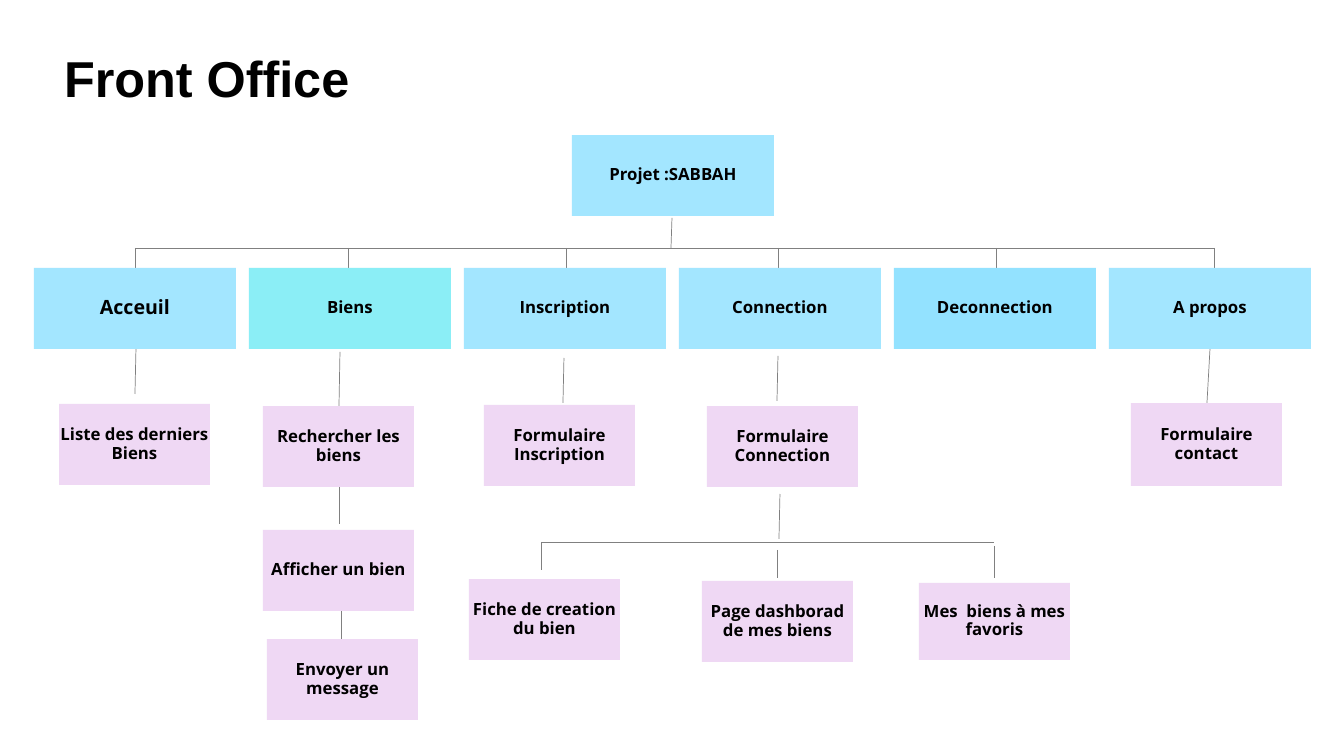
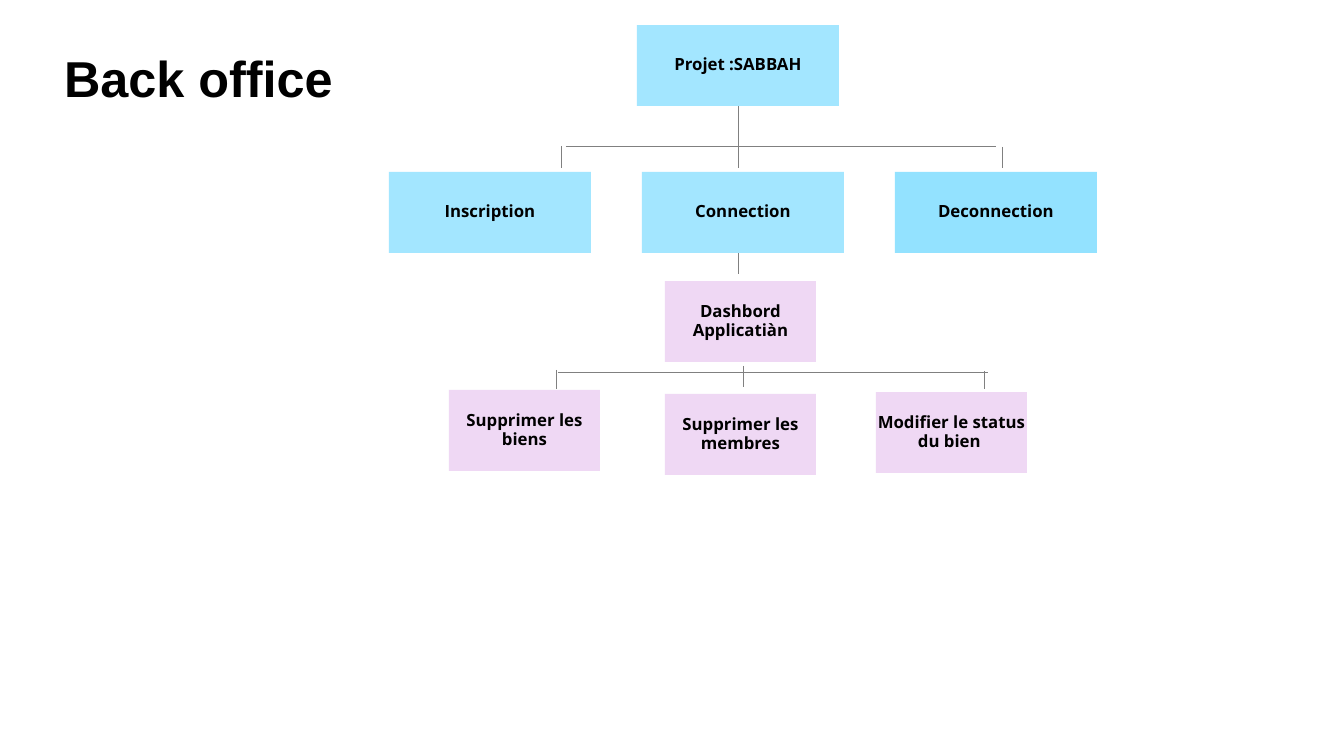
from lxml import etree
from pptx import Presentation
from pptx import util as u
from pptx.dml.color import RGBColor
from pptx.enum import shapes, text
from pptx.oxml.ns import qn

PX = 914400 / 100.8  # EMU in one pixel
BLACK, GREY = "000000", "808080"
SKY, AQUA, AZURE, LILAC = "A3E6FF", "8BEEF6", "93E2FF", "EFD8F4"
PAGE_SIZE, LEAF_SIZE = (202, 81), (151, 81)
PROJECT = "Projet :SABBAH"


def px(n):
    """Turn pixels into EMU."""
    return u.Emu(round(n * PX))


def rgb(code):
    """Turn a hex string into a colour."""
    return RGBColor.from_string(code)


def apply(obj, values):
    """Set each attribute named in a dict."""
    for name, value in values.items():
        setattr(obj, name, value)


def write(sp, content, size, font, align, inset):
    """Put one bold, vertically centred paragraph into a shape."""
    tf = sp.text_frame
    apply(tf, {"word_wrap": True, "auto_size": text.MSO_AUTO_SIZE.NONE,
               "vertical_anchor": text.MSO_ANCHOR.MIDDLE,
               "margin_left": px(inset), "margin_right": px(inset),
               "margin_top": px(4), "margin_bottom": px(4)})
    p = tf.paragraphs[0]
    apply(p, {"alignment": align, "line_spacing": 0.9})
    r = p.add_run()
    r.text = content
    apply(r.font, {"size": u.Pt(size), "name": font, "bold": True})
    r.font.color.rgb = rgb(BLACK)


def add_slide(prs, title):
    """Add a slide with its title at the top left."""
    slide = prs.slides.add_slide(prs.slide_layouts[5])
    sp = slide.shapes.title
    apply(sp, {"left": px(54), "top": px(34), "width": px(511), "height": px(94)})
    write(sp, title, 36, "Arial", text.PP_ALIGN.LEFT, 10)
    return slide


def box(slide, label, left, top, fill, size, font_size=12):
    """Draw one labelled box of the site map."""
    sp = slide.shapes.add_shape(shapes.MSO_SHAPE.RECTANGLE,
                                *map(px, (left, top, *size)))
    sp.shadow.inherit = False
    sp.fill.solid()
    sp.fill.fore_color.rgb = rgb(fill)
    sp.line.fill.background()
    write(sp, label, font_size, "Open Sans", text.PP_ALIGN.CENTER, 1)


def page_row(slide, pages, left, top, step):
    """Draw evenly spaced main pages, given as label, fill and font size."""
    for i, (label, fill, font_size) in enumerate(pages):
        box(slide, label, left + i * step, top, fill, PAGE_SIZE, font_size)


def leaves(slide, items):
    """Draw sub-pages, given as label, left, top and an optional height."""
    for label, left, top, *height in items:
        size = (LEAF_SIZE[0], *height) if height else LEAF_SIZE
        box(slide, label, left, top, LILAC, size)


def line(slide, x1, y1, x2, y2):
    """Draw a thin grey link."""
    sp = slide.shapes.add_connector(shapes.MSO_CONNECTOR.STRAIGHT,
                                    *map(px, (x1, y1, x2, y2)))
    sp.line.color.rgb = rgb(GREY)
    sp.line.width = u.Pt(0.5)
    etree.SubElement(sp._element.spPr, qn("a:effectLst"))


def drops(slide, links):
    """Draw vertical links, given as x, top and bottom."""
    for x, top, bottom in links:
        line(slide, x, top, x, bottom)


def front_office(prs):
    """Build the site map that visitors use."""
    slide = add_slide(prs, "Front Office")
    trunk = 248
    line(slide, 135, trunk, 1214, trunk)
    drops(slide, [(x, trunk, 268) for x in (135, 348, 566, 778, 996, 1214)])
    stems = [(671, trunk, 672, 218), (135, 394, 136, 349), (339, 406, 340, 352),
             (563, 403, 564, 358), (777, 401, 778, 356), (1207, 403, 1210, 349),
             (779, 539, 780, 494)]
    for stem in stems:
        line(slide, *stem)
    line(slide, 542, 542, 994, 542)
    drops(slide, [(541, 542, 570), (777, 550, 578), (994, 546, 578),
                  (339, 487, 524), (341, 611, 639)])
    box(slide, PROJECT, 572, 135, SKY, PAGE_SIZE)
    page_row(slide, [("Acceuil", SKY, 14), ("Biens", AQUA, 12),
                     ("Inscription", SKY, 12), ("Connection", SKY, 12),
                     ("Deconnection", AZURE, 12), ("A propos", SKY, 12)],
             34, 268, 215)
    leaves(slide, [("Liste des derniers Biens", 59, 404),
                   ("Rechercher les biens", 263, 406),
                   ("Formulaire Inscription", 484, 405),
                   ("Formulaire Connection", 707, 406),
                   ("Formulaire contact", 1131, 403, 83),
                   ("Afficher un bien", 263, 530),
                   ("Envoyer un message", 267, 639),
                   ("Fiche de creation du bien", 469, 579),
                   ("Page dashborad de mes biens", 702, 581),
                   ("Mes  biens à mes favoris", 919, 583, 77)])


def back_office(prs):
    """Build the site map that administrators use."""
    slide = add_slide(prs, "Back office")
    line(slide, 566, 146, 996, 146)
    line(slide, 558, 372, 988, 372)
    drops(slide, [(738, 106, 146), (561, 146, 168), (738, 146, 168),
                  (1002, 147, 168), (738, 253, 274), (743, 366, 387),
                  (556, 370, 389), (984, 371, 389)])
    box(slide, PROJECT, 637, 25, SKY, PAGE_SIZE)
    page_row(slide, [("Inscription", SKY, 12), ("Connection", SKY, 12),
                     ("Deconnection", AZURE, 12)], 389, 172, 253)
    leaves(slide, [("Dashbord Applicatiàn", 665, 281),
                   ("Supprimer les biens", 449, 390),
                   ("Supprimer les membres", 665, 394),
                   ("Modifier le status du bien ", 876, 392)])


def main():
    """Build and save the presentation."""
    prs = Presentation()
    apply(prs, {"slide_width": px(1344), "slide_height": px(756)})
    front_office(prs)
    back_office(prs)
    prs.save("out.pptx")


main()
